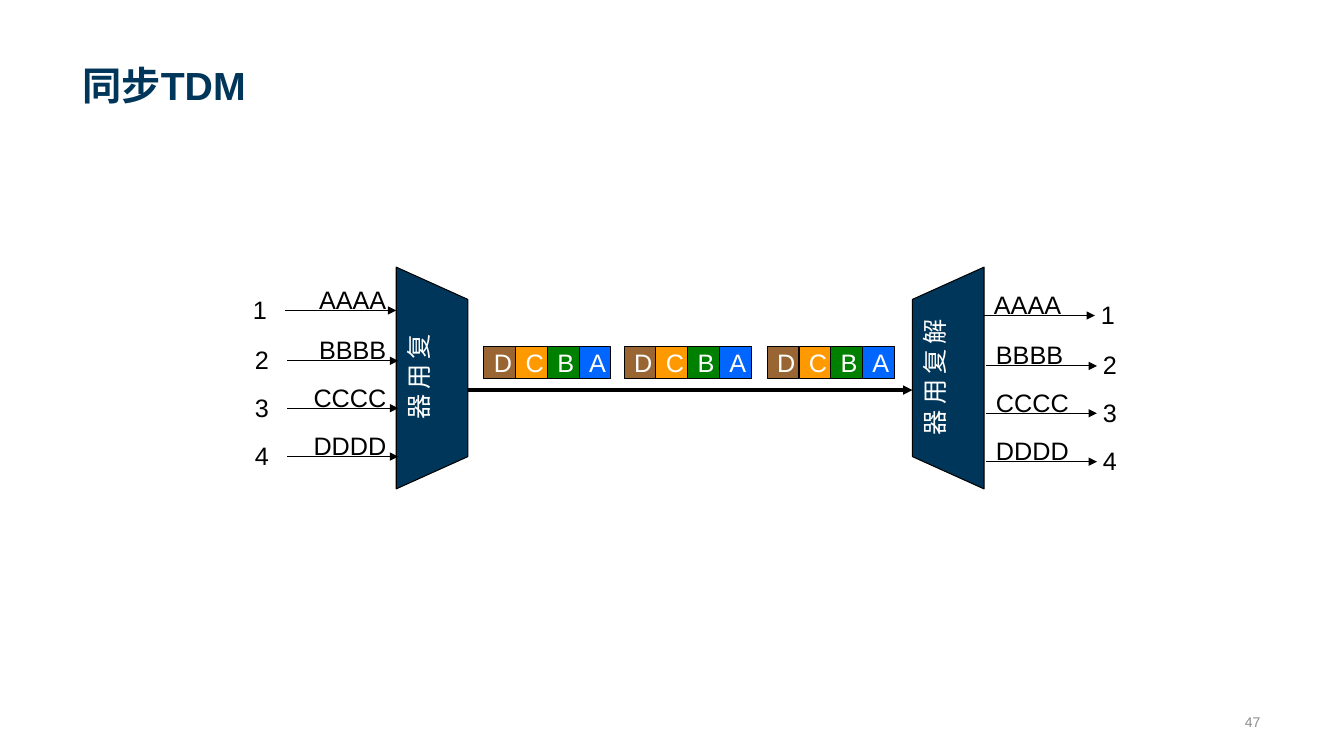
from lxml import etree
from pptx import Presentation
from pptx.dml.color import RGBColor
from pptx.enum.shapes import MSO_CONNECTOR, MSO_SHAPE
from pptx.enum.text import MSO_ANCHOR, PP_ALIGN
from pptx.oxml.ns import qn
from pptx.util import Inches, Pt

LEFT, CENTER, RIGHT = PP_ALIGN.LEFT, PP_ALIGN.CENTER, PP_ALIGN.RIGHT
TOP, MIDDLE, BOTTOM = MSO_ANCHOR.TOP, MSO_ANCHOR.MIDDLE, MSO_ANCHOR.BOTTOM
NAVY, BLACK, WHITE, GRAY = "003659", "000000", "FFFFFF", "8C8C8C"
SLOTS = [("D", "996633"), ("C", "FF9900"), ("B", "008000"), ("A", "0066FF")]
FRAME_LEFTS = [4.8, 6.19, 7.61]
LANES = [("AAAA", 0, 0), ("BBBB", 0.02, 0.5), ("CCCC", 0.02, 0.97), ("DDDD", 0.02, 1.45)]


def rgb(color):
    """Turn a hex string into a colour."""
    return RGBColor.from_string(color)


def write(shape, lines, size=18, color=BLACK, align=LEFT, anchor=TOP, bold=False, wrap=False):
    """Put one paragraph per line into a shape."""
    tf = shape.text_frame
    tf.word_wrap = wrap
    tf.vertical_anchor = anchor
    tf.text = "\n".join(lines)
    for p in tf.paragraphs:
        p.alignment = align
        p.font.name = "Arial"
        p.font.size = Pt(size)
        p.font.bold = bold
        p.font.color.rgb = rgb(color)


def add_text(s, box, text, **style):
    """Add a text box at the given box in inches."""
    write(s.shapes.add_textbox(*map(Inches, box)), [text], **style)


def paint(shape, fill):
    """Give a shape a flat fill and a thin black outline."""
    shape.shadow.inherit = False
    shape.fill.solid()
    shape.fill.fore_color.rgb = rgb(fill)
    shape.line.color.rgb = rgb(BLACK)
    shape.line.width = Pt(0.75)


def add_arrow(s, left, right, y, width=0.75):
    """Add a horizontal arrow pointing right."""
    c = s.shapes.add_connector(
        MSO_CONNECTOR.STRAIGHT, Inches(left), Inches(y), Inches(right), Inches(y))
    c.line.color.rgb = rgb(BLACK)
    c.line.width = Pt(width)
    etree.SubElement(c.line._get_or_add_ln(), qn("a:tailEnd"), type="triangle")
    etree.SubElement(c._element.spPr, qn("a:effectLst"))


def add_device(s, box, label, narrow_right):
    """Add a trapezoid turned on its side, its label running upwards."""
    left, top, width, height = box
    x, y = left + (width - height) / 2, top + (height - width) / 2
    inset = 0.32
    wide_y, narrow_y = (y, y + width) if narrow_right else (y + width, y)
    points = [(x + height, wide_y), (x + height - inset, narrow_y), (x + inset, narrow_y)]
    builder = s.shapes.build_freeform(Inches(x), Inches(wide_y))
    builder.add_line_segments([(Inches(px), Inches(py)) for px, py in points], close=True)
    device = builder.convert_to_shape()
    device.rotation = 270
    paint(device, NAVY)
    write(device, label, color=WHITE, align=CENTER, anchor=MIDDLE)
    device.text_frame._txBody.bodyPr.set("vert", "eaVert")


def add_frame(s, left, top):
    """Add one frame of four time slots."""
    side = 0.315
    for i, (letter, fill) in enumerate(SLOTS):
        slot = s.shapes.add_shape(
            MSO_SHAPE.RECTANGLE, Inches(left + i * side), Inches(top), Inches(side), Inches(side))
        paint(slot, fill)
        write(slot, [letter], color=WHITE, anchor=MIDDLE)


def add_lanes(s, left, top, number_dx, label_dx, align):
    """Add four numbered signal lanes, each an arrow with its data above."""
    for number, (data, dx, dy) in enumerate(LANES, 1):
        x, y = left + dx, top + dy
        add_arrow(s, x, x + 1.1, y)
        label_width = 0.92 if number > 2 else 0.87
        label_left = left + 1.1 - label_width if align == RIGHT else x + label_dx
        add_text(s, (label_left, y - 0.31, label_width, 0.4), data, align=align)
        add_text(s, (x + number_dx, y - 0.21, 0.34, 0.4), str(number))


def main():
    """Build the synchronous TDM slide."""
    prs = Presentation()
    prs.slide_width, prs.slide_height = Inches(13.33), Inches(7.5)
    s = prs.slides.add_slide(prs.slide_layouts[6])
    add_text(s, (0.72, 0.14, 11.88, 0.98), "同步TDM",
             size=28, color=NAVY, anchor=BOTTOM, bold=True, wrap=True)
    add_text(s, (8.5, 7.01, 4.1, 0.3), "47",
             size=10, color=GRAY, align=RIGHT, anchor=MIDDLE, wrap=True)
    add_device(s, (3.93, 2.65, 0.71, 2.2), "复用器", True)
    add_device(s, (9.05, 2.65, 0.71, 2.2), "解复用器", False)
    for left in FRAME_LEFTS:
        add_frame(s, left, 3.44)
    add_arrow(s, 4.64, 9.05, 3.87, 2.25)
    add_lanes(s, 2.83, 3.08, -0.42, 0, RIGHT)
    add_lanes(s, 9.76, 3.13, 1.06, 0, LEFT)
    prs.save("out.pptx")


if __name__ == "__main__":
    main()
